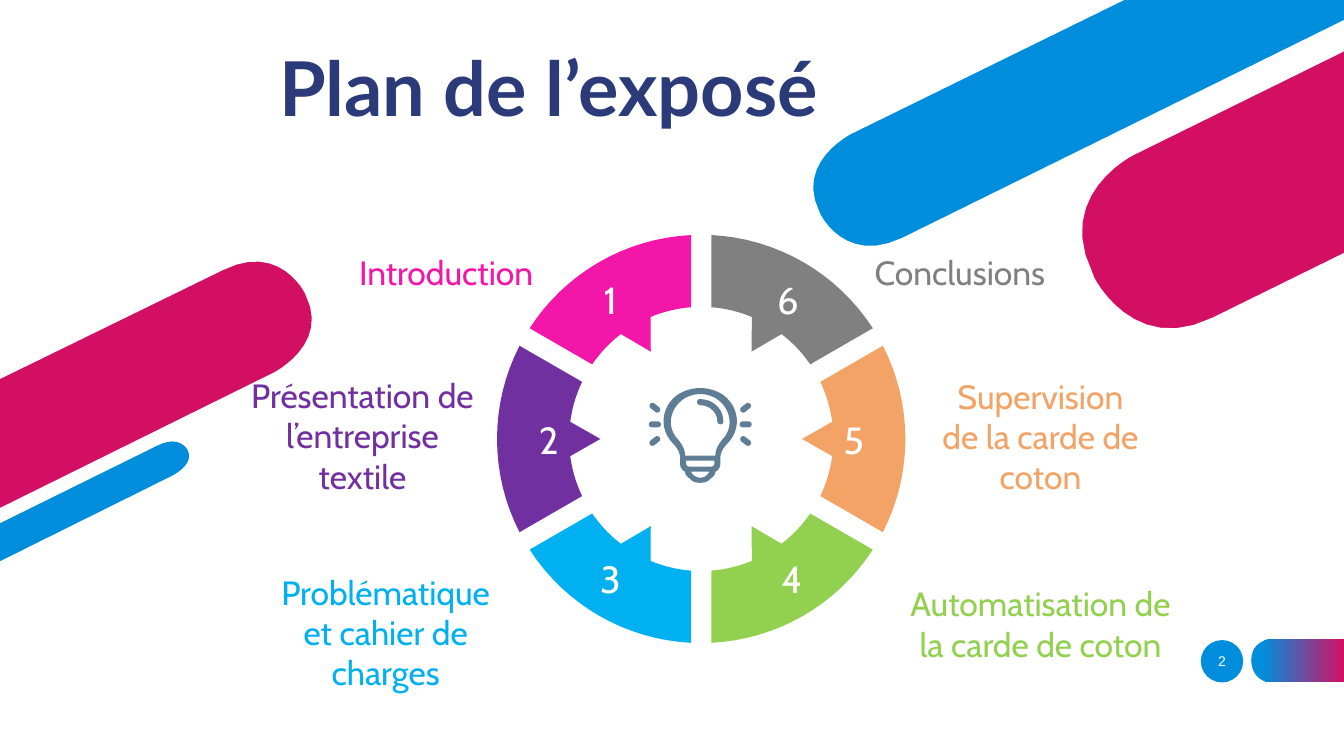
from dataclasses import dataclass
from math import asin, cos, degrees, radians, sin

from pptx import Presentation
from pptx.dml.color import RGBColor
from pptx.enum.shapes import MSO_SHAPE
from pptx.enum.text import MSO_ANCHOR, PP_ALIGN
from pptx.util import Inches, Pt

OVAL = MSO_SHAPE.OVAL
ROUNDED = MSO_SHAPE.ROUNDED_RECTANGLE
MIDDLE = MSO_ANCHOR.MIDDLE
CENTER = PP_ALIGN.CENTER


@dataclass(frozen=True)
class Theme:
    white: str = "FFFFFF"
    blue: str = "008EDC"
    crimson: str = "D30F64"
    navy: str = "2B3A79"
    slate: str = "5F7D95"
    heading_font: str = "Lato"
    body_font: str = "Cabin"
    page_font: str = "Arial"
    heading_size: int = 54
    number_size: int = 27
    label_size: int = 24
    page_size: int = 10
    bar_edge: float = 3.25


@dataclass(frozen=True)
class Box:
    left: float
    top: float
    width: float
    height: float

    def lengths(self):
        return [Inches(v) for v in (self.left, self.top, self.width, self.height)]


THEME = Theme()
SLIDE = Box(0, 0, 13.33, 7.5)

# Number, label, colour and label box of each part of the talk
TOPICS = [
    ("1", "Introduction", "F216A9", Box(3.29, 2.37, 2.27, 0.65)),
    ("2", "Présentation de l’entreprise textile", "7030A0", Box(2.36, 4.04, 2.47, 0.56)),
    ("3", "Problématique et cahier de charges", "00B0F0", Box(2.59, 5.99, 2.47, 0.56)),
    ("4", "Automatisation de la carde de coton", "92D050", Box(8.84, 5.82, 2.96, 0.73)),
    ("5", "Supervision de la carde de coton", "F2A365", Box(9.2, 4.07, 2.24, 0.51)),
    ("6 ", "Conclusions", "808080", Box(8.47, 2.46, 2.1, 0.47)),
]

# Outlines: a start point, then lines (x, y) or curves (x1, y1, x2, y2, x, y)
BARS = [
    (THEME.crimson, [(13.36, 0.47), (11.23, 1.52), (11.23, 1.52, 10.42, 1.92, 10.82, 2.73),
                     (10.83, 2.76), (10.83, 2.76, 11.23, 3.57, 12.04, 3.17), (13.36, 2.52)]),
    (THEME.blue, [(13.36, -0.03), (11.16, -0.03), (8.43, 1.31),
                  (8.43, 1.31, 7.85, 1.6, 8.11, 2.12), (8.12, 2.14),
                  (8.12, 2.14, 8.37, 2.66, 8.96, 2.38), (13.36, 0.21)]),
    (THEME.crimson, [(3.04, 2.89), (3.04, 2.89, 2.78, 2.37, 2.2, 2.66), (-0.03, 3.75),
                     (-0.03, 5.08), (2.72, 3.72), (2.72, 3.72, 3.31, 3.43, 3.05, 2.91)]),
    (THEME.blue, [(1.88, 4.45), (1.88, 4.45, 1.79, 4.28, 1.55, 4.4), (-0.03, 5.18),
                  (-0.03, 5.61), (1.72, 4.74), (1.72, 4.74, 1.97, 4.62, 1.88, 4.45)]),
]

# Right halves of the bulb, measured from its axis and top
BULB_HALVES = [
    [(0, 0.94), (0.04, 0.94, 0.08, 0.93, 0.1, 0.9), (0.13, 0.88, 0.15, 0.86, 0.15, 0.83),
     (0.18, 0.82, 0.2, 0.78, 0.2, 0.75), (0.2, 0.69), (0.2, 0.64, 0.23, 0.59, 0.27, 0.55),
     (0.41, 0.41, 0.39, 0.19, 0.23, 0.07), (0.17, 0.03, 0.09, 0, 0, 0)],
    [(0, 0.06), (0.06, 0.06, 0.13, 0.08, 0.18, 0.12), (0.31, 0.22, 0.33, 0.4, 0.22, 0.51),
     (0.18, 0.56, 0.15, 0.61, 0.15, 0.67), (0, 0.67)],
    [(0, 0.72), (0.14, 0.72), (0.14, 0.75), (0.14, 0.76, 0.13, 0.78, 0.11, 0.78), (0, 0.78)],
    [(0, 0.83), (0.09, 0.83), (0.08, 0.86, 0.04, 0.89, 0, 0.89)],
]
SHINE = [(0, 0.11), (-0.02, 0.11, -0.03, 0.12, -0.03, 0.14), (-0.03, 0.15, -0.02, 0.17, 0, 0.17),
         (0.09, 0.17, 0.17, 0.24, 0.17, 0.33), (0.17, 0.35, 0.19, 0.36, 0.2, 0.36),
         (0.22, 0.36, 0.23, 0.35, 0.23, 0.33), (0.23, 0.21, 0.13, 0.11, 0, 0.11)]


def flatten(outline, pieces=12):
    points = [outline[0]]
    for step in outline[1:]:
        if len(step) == 2:
            points.append(step)
            continue
        corners = [points[-1], step[:2], step[2:4], step[4:]]
        for piece in range(1, pieces + 1):
            t = piece / pieces
            weights = ((1 - t) ** 3, 3 * t * (1 - t) ** 2, 3 * t * t * (1 - t), t ** 3)
            points.append(tuple(sum(w * c[axis] for w, c in zip(weights, corners))
                                for axis in (0, 1)))
    return points


def paint(shape, color):
    shape.shadow.inherit = False
    shape.line.fill.background()
    shape.fill.solid()
    shape.fill.fore_color.rgb = RGBColor.from_string(color)
    return shape


def draw_outline(page, contours, origin, color):
    placed = [[(Inches(origin[0] + x), Inches(origin[1] + y)) for x, y in contour]
              for contour in contours]
    builder = page.shapes.build_freeform(*placed[0][0], scale=1.0)
    builder.add_line_segments(placed[0][1:], close=True)
    for contour in placed[1:]:
        builder.move_to(*contour[0])
        builder.add_line_segments(contour[1:], close=True)
    return paint(builder.convert_to_shape(), color)


def write(shape, text, font, size, color, bold=False, inset=0.1):
    frame = shape.text_frame
    frame.word_wrap = True
    frame.vertical_anchor = MIDDLE
    frame.margin_left = frame.margin_right = Inches(inset)
    frame.margin_top = frame.margin_bottom = Inches(inset)
    para = frame.paragraphs[0]
    para.text = text
    para.alignment = CENTER
    para.font.name = font
    para.font.size = Pt(size)
    para.font.bold = bold
    para.font.color.rgb = RGBColor.from_string(color)


def add_bars(page, box):
    for color, outline in BARS:
        bar = draw_outline(page, [flatten(outline)], (box.left, box.top), color)
        bar.line.color.rgb = RGBColor.from_string(THEME.white)
        bar.line.width = Pt(THEME.bar_edge)


def add_page_mark(page, box):
    # Numbered disc
    disc = Box(box.left, box.top + 0.01, 0.42, 0.42)
    circle = paint(page.shapes.add_shape(OVAL, *disc.lengths()), THEME.blue)
    write(circle, "2", THEME.page_font, THEME.page_size, THEME.white, inset=0)
    # Gradient tab running to the slide edge
    left, right, low, curve = 0.5, box.width, box.height, 0.21
    tab = [(right, 0), (left + curve, 0), (left + curve, 0, left, 0, left, low / 2),
           (left, low / 2, left, low, left + curve, low), (right, low)]
    shape = draw_outline(page, [flatten(tab)], (box.left, box.top), THEME.blue)
    shape.fill.gradient()
    shape.fill.gradient_angle = 0
    stops = zip(shape.fill.gradient_stops, (0.12, 1), (THEME.blue, THEME.crimson))
    for stop, position, color in stops:
        stop.position = position
        stop.color.rgb = RGBColor.from_string(color)


def add_wheel(page, box):
    center = (box.left + box.width / 2, box.top + box.height / 2)
    outer = box.width / 2
    inner, tip, half_gap, half_tab = 1.31, 1.0, 0.1, 0.17
    sector = 360 / len(TOPICS)

    def arc(radius, start, end, pieces=16):
        angles = [radians(start + (end - start) * i / pieces) for i in range(pieces + 1)]
        return [(radius * cos(a), radius * sin(a)) for a in angles]

    outer_half = sector / 2 - degrees(asin(half_gap / outer))
    inner_half = sector / 2 - degrees(asin(half_gap / inner))
    tab_half = degrees(asin(half_tab / inner))
    for index, (number, _, color, _) in enumerate(TOPICS):
        middle = 240 - sector * index
        points = (arc(outer, middle - outer_half, middle + outer_half)
                  + arc(inner, middle + inner_half, middle + tab_half)
                  + arc(tip, middle, middle, 1)[:1]
                  + arc(inner, middle - tab_half, middle - inner_half))
        segment = draw_outline(page, [points], center, color)
        write(segment, number, THEME.body_font, THEME.number_size, THEME.white)


def add_bulb(page, box):
    axis = box.left + box.width / 2
    halves = [flatten(half) for half in BULB_HALVES]
    contours = [half + [(-x, y) for x, y in reversed(half)] for half in halves]
    draw_outline(page, contours, (axis, box.top), THEME.slate)
    draw_outline(page, [flatten(SHINE)], (axis, box.top), THEME.slate)
    # Rays on both sides
    length, thickness = 0.12, 0.06
    for side in (-1, 1):
        for row in (-1, 0, 1):
            ray_box = Box(axis + side * 0.45 - length / 2,
                          box.top + 0.36 + row * 0.165 - thickness / 2, length, thickness)
            ray = paint(page.shapes.add_shape(ROUNDED, *ray_box.lengths()), THEME.slate)
            ray.adjustments[0] = 0.5
            ray.rotation = side * row * 38


def add_title(page, box):
    title = page.shapes.add_textbox(*box.lengths())
    write(title, "Plan de l’exposé", THEME.heading_font, THEME.heading_size, THEME.navy, bold=True)


def add_label(page, box, text, color):
    label = page.shapes.add_textbox(*box.lengths())
    write(label, text, THEME.body_font, THEME.label_size, color)


def main():
    deck = Presentation()
    deck.slide_width, deck.slide_height = Inches(SLIDE.width), Inches(SLIDE.height)
    page = deck.slides.add_slide(deck.slide_layouts[6])
    add_page_mark(page, Box(11.91, 6.34, 1.42, 0.43))
    add_bars(page, SLIDE)
    add_wheel(page, Box(4.93, 2.33, 4.05, 4.05))
    add_title(page, Box(1.24, 0.22, 8.4, 1.27))
    for _, text, color, box in TOPICS:
        add_label(page, box, text, color)
    add_bulb(page, Box(6.44, 3.85, 1.01, 0.94))
    deck.save("out.pptx")


if __name__ == "__main__":
    main()
